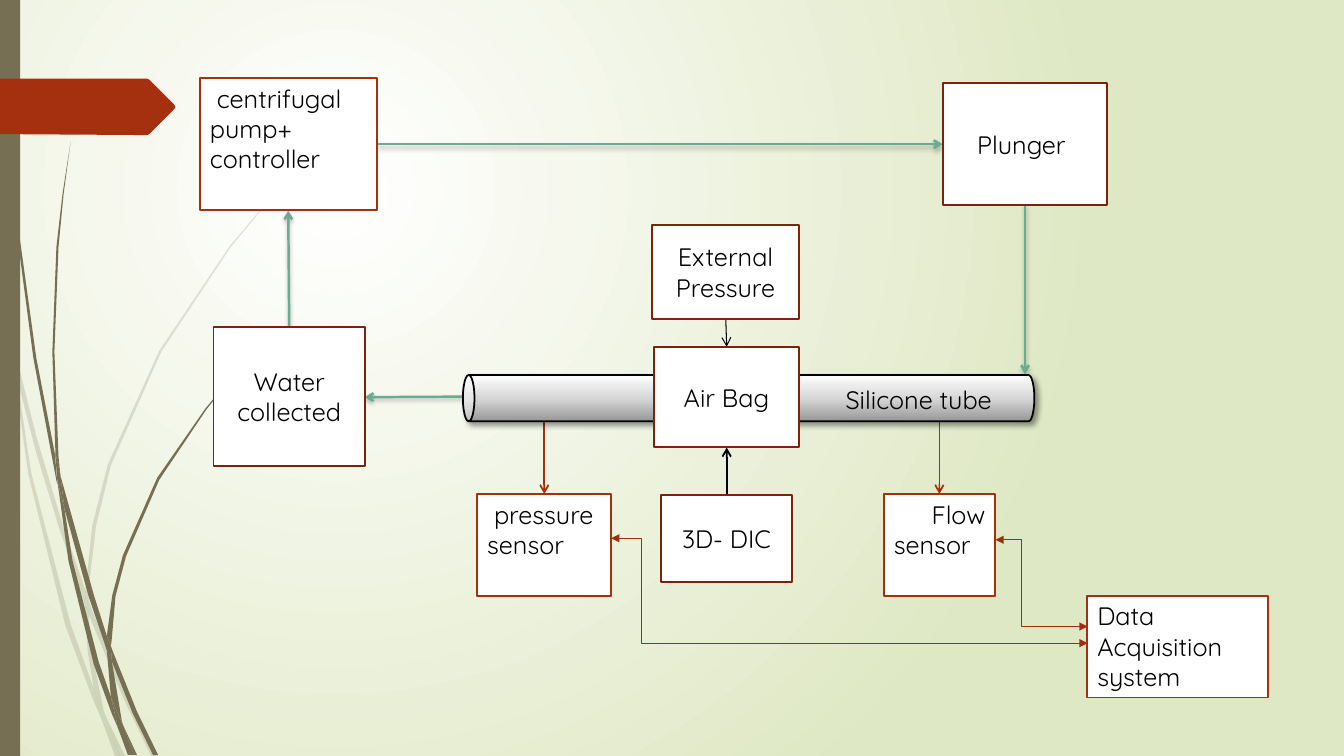
from dataclasses import dataclass

from lxml.etree import SubElement
from pptx import Presentation
from pptx.dml.color import RGBColor
from pptx.enum.shapes import MSO_CONNECTOR, MSO_SHAPE
from pptx.enum.text import MSO_ANCHOR, PP_ALIGN
from pptx.oxml.ns import qn
from pptx.util import Pt

FONT = "Quicksand"
OLIVE, RUST, BROWN, BRICK = "766F54", "A53010", "7A240C", "9E2E0F"
GREEN, BLACK, WHITE = "6AAC91", "000000", "FFFFFF"
LEFT, MID, FULL = PP_ALIGN.LEFT, PP_ALIGN.CENTER, PP_ALIGN.JUSTIFY


@dataclass
class Box:
    text: str
    x: float
    y: float
    w: float
    h: float
    line: str = BROWN
    align: PP_ALIGN = MID


@dataclass
class Arrow:
    x1: float
    y1: float
    x2: float
    y2: float
    color: str
    width: float
    bend: float = 0  # elbow place in percent of the width; 0 is straight


# Outlines of the grass blades and the tag
PALE = [
    [(7.9, 252), (6.5, 231.8), (0, 203), (0, 215.3), (7.2, 247.7)],
    [(41.8, 375.8), (60.5, 431.3), (61.2, 421.9), (44.6, 374.4), (26, 311.9),
     (10.1, 248.4), (12.2, 270.7), (25.9, 323.5)],
    [(66.2, 437), (63.4, 429.1), (63.4, 439.2), (88.6, 499.7), (108, 540),
     (111.6, 540), (91.4, 498.2)],
    [(85.7, 540), (89.3, 540), (75.6, 511.9)],
    [(67, 491.8), (50.4, 445.7), (22.3, 337.7), (12.2, 270.7), (7.9, 252),
     (20.2, 338.4), (46.8, 447.1), (66.2, 499), (72.7, 514.1), (71.3, 509)],
    [(60.5, 431.3), (62.6, 465.1), (67, 491.8), (69.1, 498.2), (75.6, 511.9),
     (74.2, 508.3), (65.5, 465.1), (63.4, 439.2), (63.4, 437.8)],
    [(63.4, 420.5), (68.6, 375.7), (79.2, 332.6), (115.2, 251.3), (164.9, 176.4),
     (193, 142.6), (208.8, 126), (224.6, 110.9), (224.6, 110.2), (208.1, 126),
     (193, 141.8), (164.2, 175.7), (113.8, 250.6), (77, 331.9), (65.9, 375.7),
     (61.2, 420.5), (61.2, 421.9), (63.4, 429.1)],
    [(72.7, 514.1), (82.1, 540), (85.7, 540)],
    [(63.4, 437.8), (63.4, 439.2), (63.4, 429.1), (61.2, 421.9), (60.5, 431.3)],
    [(69.1, 498.2), (67, 491.8), (71.3, 509), (72.7, 514.1), (85.7, 540),
     (75.6, 511.9)],
]
DARK = [
    [(5, 79.2), (12.2, 167.8), (23.8, 255.6), (40.3, 343.4), (41, 346.3),
     (39.6, 329), (39.6, 326.2), (25.9, 255.6), (13.7, 167), (5.8, 78.5),
     (3.6, 34.6), (2.9, 0), (2.2, 0), (2.9, 34.6)],
    [(63.4, 426.2), (76.3, 464.4), (76.3, 454.3), (67, 424.8), (43.2, 339.8),
     (46.1, 363.6)],
    [(81.4, 467.3), (79.2, 461.5), (79.9, 472.3), (95, 509.8), (109.4, 539.3),
     (113, 539.3), (97.9, 508.3)],
    [(79.2, 497.5), (70.6, 473), (51.8, 400.3), (46.1, 363.6), (41, 343.4),
     (49, 401), (67, 474.5), (79.9, 509.8), (84.2, 519.8), (83.5, 516.2)],
    [(43.2, 339.8), (41.8, 326.2), (38.9, 251.3), (41.8, 176.4), (45.4, 139),
     (50.4, 101.5), (44.6, 139), (40.3, 176.4), (37.4, 251.3), (39.6, 323.3)],
    [(95.8, 539.3), (97.9, 539.3), (87.8, 517.7)],
    [(41, 343.4), (46.1, 363.6), (43.2, 339.8), (39.6, 323.3), (39.6, 326.2)],
    [(79.9, 455.8), (82.5, 426), (90, 397.4), (113.8, 342.7), (147.6, 292.3),
     (166.3, 269.3), (176.4, 258.5), (187.9, 247.7), (187.2, 247.7),
     (176.4, 257.8), (166.3, 268.6), (146.9, 291.6), (112.3, 341.3),
     (87.8, 396.7), (80.2, 425.2), (76.3, 454.3), (79.2, 461.5)],
    [(84.2, 519.8), (91.4, 539.3), (94.3, 539.3)],
    [(76.3, 464.4), (79.2, 497.5), (83.5, 508.3), (87.8, 517.7), (87.1, 515.5),
     (79.9, 472.3), (78.5, 468.7)],
    [(76.3, 464.4), (78.5, 468.7), (79.9, 472.3), (79.2, 461.5), (76.3, 454.3)],
    [(83.5, 508.3), (79.2, 497.5), (83.5, 516.2), (84.2, 519.8), (93.6, 539.3),
     (95.8, 539.3), (87.8, 517.7)],
]
TAG = [(124.6, 77.8), (106.6, 95.8), (105.1, 96.5), (0, 95.8), (0, 56.2),
       (105.1, 56.2), (106.6, 56.9), (124.6, 74.9), (125.3, 76.3)]

ARROWS = [
    Arrow(518.4, 227.5, 519.1, 247.7, BLACK, 0.75),
    Arrow(732.2, 146.2, 732.2, 267.1, GREEN, 1.75),
    Arrow(330.5, 283.3, 260.6, 283.7, GREEN, 1.75),
    Arrow(206.6, 234, 205.9, 150.5, GREEN, 1.75),
    Arrow(269.3, 103, 673.2, 103, GREEN, 1.75),
    Arrow(388.8, 301.7, 388.8, 352.8, RUST, 1.25),
    Arrow(671, 301, 671, 352.8, RUST, 1.25),
    Arrow(519.1, 353.5, 519.1, 319.7, BLACK, 1.25),
    Arrow(711, 385.6, 776.9, 447.5, BRICK, 0.75, 28.1),
    Arrow(436.5, 384.5, 776.9, 459.4, BRICK, 0.75, 6.4),
]

BOXES = [
    Box("Plunger ", 673.4, 59.4, 117.4, 87),
    Box("External Pressure", 465.8, 160.8, 105, 67),
    Box("Water collected", 152.6, 233.7, 108, 99.4),
    Box(" centrifugal pump+ controller", 142.9, 55.8, 126.2, 94.3, RUST, LEFT),
    Box(" pressure sensor", 340.9, 352.8, 95.6, 72.7, RUST, LEFT),
    Box(" Flow sensor", 631.4, 352.8, 79.6, 72.7, RUST, FULL),
    Box("3D- DIC", 472.3, 353.6, 93.2, 62),
    Box("Air Bag", 466.9, 248, 104, 71.3),
    Box("Data Acquisition system", 776.7, 425.6, 129, 72.7, RUST, LEFT),
]


def rgb(code: str) -> RGBColor:
    return RGBColor.from_string(code)


def node(up, tag: str, **attrs):
    return SubElement(up, qn(tag), {k: str(v) for k, v in attrs.items()})


def blend(grad, stops: list):
    """Empty a gradient and give it new stops."""
    for kid in list(grad):
        grad.remove(kid)
    row = node(grad, "a:gsLst")
    for pos, code in stops:
        node(node(row, "a:gs", pos=pos * 1000), "a:srgbClr", val=code)


def shade(effects, alpha: int, blur: float, dist: float, angle: int):
    glow = node(effects, "a:outerShdw", blurRad=Pt(blur), dist=Pt(dist),
                dir=angle * 60000, rotWithShape=0)
    node(node(glow, "a:srgbClr", val=BLACK), "a:alpha", val=alpha * 1000)


def paint(shape, fill: str, line: str = ""):
    shape.shadow.inherit = False
    shape.fill.solid()
    shape.fill.fore_color.rgb = rgb(fill)
    if line:
        shape.line.color.rgb = rgb(line)
        shape.line.width = Pt(1.25)
    else:
        shape.line.fill.background()


def write(shape, text: str, align: PP_ALIGN):
    frame = shape.text_frame
    frame.word_wrap = True
    frame.text = text
    frame.vertical_anchor = MSO_ANCHOR.MIDDLE if align == MID else MSO_ANCHOR.TOP
    par = frame.paragraphs[0]
    par.alignment = align
    font = par.runs[0].font
    font.name, font.size, font.color.rgb = FONT, Pt(18), rgb(BLACK)


def add_form(shapes, edge: list, fill: str, alpha: int = 100):
    pts = [(Pt(x), Pt(y)) for x, y in edge]
    form = shapes.build_freeform(*pts[0], scale=1.0)
    form.add_line_segments(pts[1:], close=True)
    shape = form.convert_to_shape()
    paint(shape, fill)
    if alpha < 100:
        tint = shape._element.spPr.find(qn("a:solidFill"))[0]
        node(tint, "a:alpha", val=alpha * 1000)


def add_arrow(shapes, arrow: Arrow):
    kind = MSO_CONNECTOR.ELBOW if arrow.bend else MSO_CONNECTOR.STRAIGHT
    ends = (arrow.x1, arrow.y1, arrow.x2, arrow.y2)
    link = shapes.add_connector(kind, *(Pt(v) for v in ends))
    link.line.color.rgb = rgb(arrow.color)
    link.line.width = Pt(arrow.width)
    props = link._element.spPr
    line = props.find(qn("a:ln"))
    if arrow.bend:
        guide = props.find(qn("a:prstGeom")).find(qn("a:avLst"))
        node(guide, "a:gd", name="adj1", fmla=f"val {round(arrow.bend * 1000)}")
        node(line, "a:headEnd", type="triangle")
    node(line, "a:tailEnd", type="triangle" if arrow.bend else "arrow")
    effects = node(props, "a:effectLst")
    if arrow.color == GREEN:
        shade(effects, 25, 3, 2, 90)


def add_shape(shapes, kind: MSO_SHAPE, x: float, y: float, w: float, h: float):
    return shapes.add_shape(kind, Pt(x), Pt(y), Pt(w), Pt(h))


def add_box(shapes, box: Box):
    shape = add_shape(shapes, MSO_SHAPE.RECTANGLE, box.x, box.y, box.w, box.h)
    paint(shape, WHITE, box.line)
    write(shape, box.text, box.align)


def add_tube(shapes):
    tube = add_shape(shapes, MSO_SHAPE.CAN, 518.2, 80.3, 33.1, 408.2)
    tube.rotation = 270
    paint(tube, WHITE, BLACK)
    tube.fill.gradient()
    props = tube._element.spPr
    grad = props.find(qn("a:gradFill"))
    blend(grad, [(0, "979797"), (50, "D7D7D7"), (100, WHITE)])
    node(grad, "a:lin", ang=0, scaled=0)
    shade(props.find(qn("a:effectLst")), 40, 4, 3, 45)


def main():
    deck = Presentation()
    deck.slide_width, deck.slide_height = Pt(960), Pt(540)
    slide = deck.slides.add_slide(deck.slide_layouts[6])
    shapes = slide.shapes

    # Background glow
    slide.background.fill.gradient()
    grad = next(slide._element.iter(qn("a:gradFill")))
    blend(grad, [(0, WHITE), (100, "DFE8C4")])
    node(node(grad, "a:path", path="circle"), "a:fillToRect",
         l=50000, t=50000, r=100000, b=100000)

    # Grass blades, side bar and tag
    for edges, alpha in ((PALE, 20), (DARK, 100)):
        for edge in edges:
            add_form(shapes, edge, OLIVE, alpha)
    paint(add_shape(shapes, MSO_SHAPE.RECTANGLE, 0, 0, 14.4, 540), OLIVE)
    add_form(shapes, TAG, RUST)

    # Flow diagram
    for arrow in ARROWS:
        add_arrow(shapes, arrow)
    add_tube(shapes)
    for box in BOXES:
        add_box(shapes, box)
    label = shapes.add_textbox(Pt(596.9), Pt(270.7), Pt(135.4), Pt(28.8))
    write(label, "Silicone tube", LEFT)

    deck.save("out.pptx")


if __name__ == "__main__":
    main()
